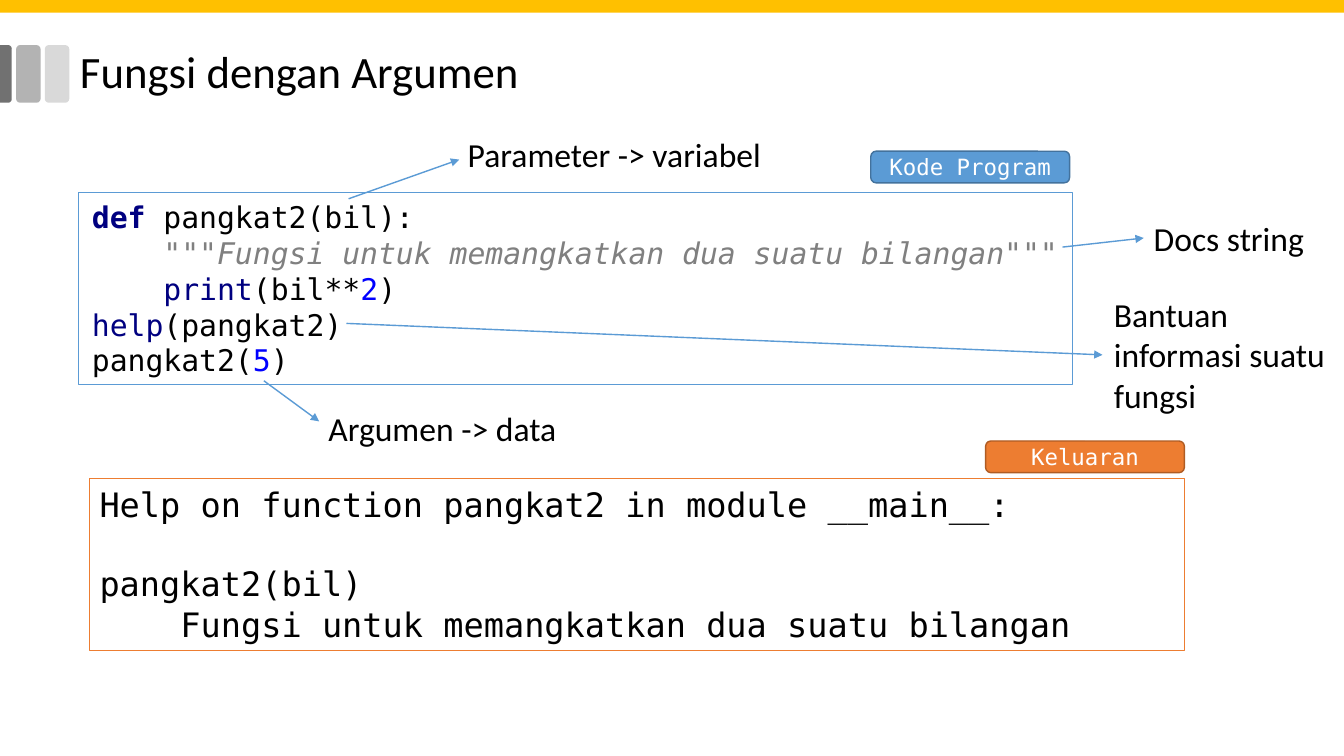
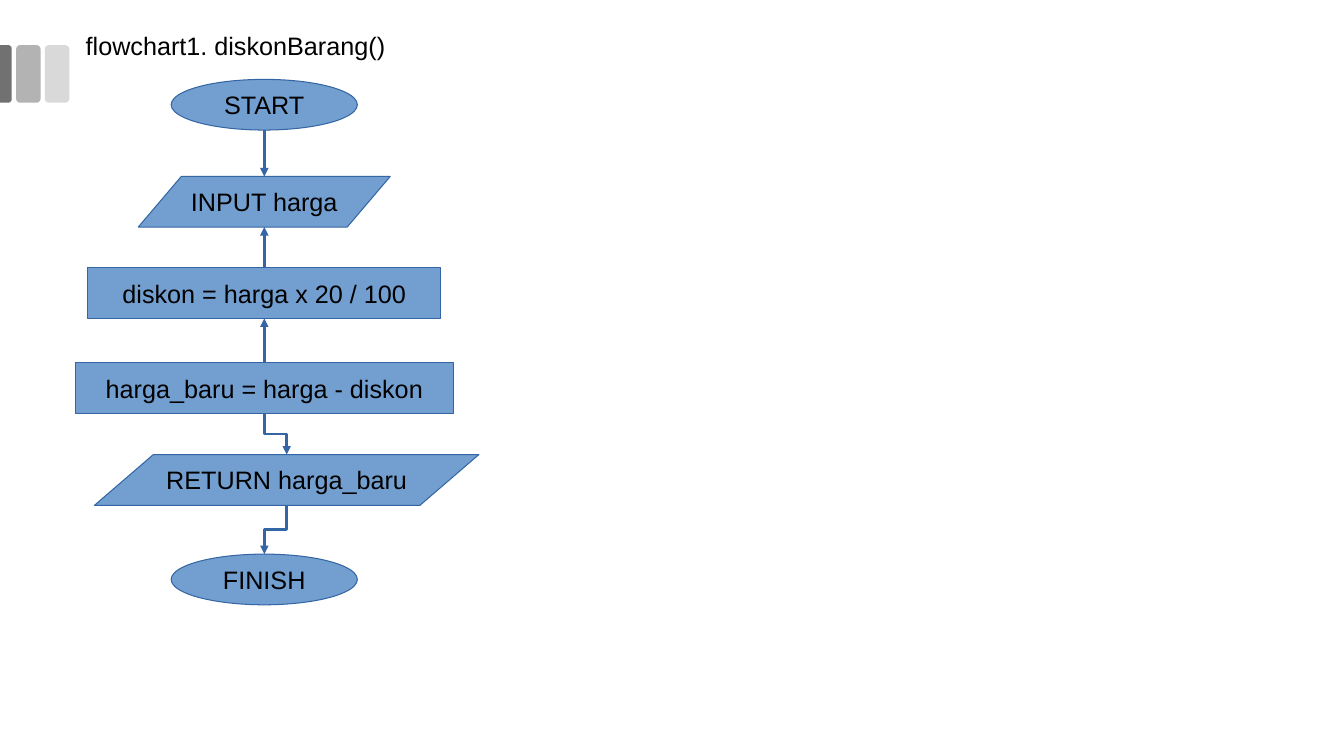
from pptx import Presentation
from pptx.dml.color import RGBColor
from pptx.enum.shapes import MSO_CONNECTOR, MSO_SHAPE
from pptx.enum.text import MSO_ANCHOR, MSO_AUTO_SIZE, PP_ALIGN
from pptx.oxml.ns import qn
from pptx.util import Pt
from lxml import etree

COLORS = {
    "black": "000000", "white": "FFFFFF", "gold": "FFC000",
    "dark": "717171", "mid": "B3B3B3", "light": "D9D9D9",
    "blue": "5B9BD5", "blue_edge": "43729D",
    "orange": "ED7D31", "orange_edge": "AF5C24",
    "node": "729FCF", "node_edge": "3465A4",
    "keyword": "000080", "docstring": "808080", "number": "0000FF",
}
SANS, MONO, FLOW = "Calibri", "DejaVu Sans Mono", "Arial"
NODE_H = 36.2
AXIS = 188.8

CODE = [
    ("def ", "keyword"),
    ("pangkat2(bil):\n    ", "black"),
    ('"""Fungsi untuk memangkatkan dua suatu bilangan"""\n    ', "docstring"),
    ("print", "keyword"),
    ("(bil**", "black"),
    ("2", "number"),
    (")\n", "black"),
    ("help", "keyword"),
    ("(pangkat2)\npangkat2(", "black"),
    ("5", "number"),
    (")", "black"),
]
# text, space before
OUTPUT = [
    ("Help on function pangkat2 in module __main__:", 0),
    ("pangkat2(bil)", 28),
    ("    Fungsi untuk memangkatkan dua suatu bilangan", 0),
]
# text, left, top, width, height, arrow start, arrow end
CALLOUTS = [
    ("Docs string", 817, 152, 123, 36, (759, 176.5), (817, 170)),
    ("Bantuan informasi suatu fungsi", 788.5, 206.5, 167, 94,
     (247.5, 231), (787.5, 253.5)),
    ("Parameter -> variabel", 327, 92, 229, 36, (249, 142), (328, 114)),
    ("Argumen -> data", 227.5, 288, 188, 36, (188.5, 272), (228, 301)),
]
# text, preset, centre x, top, width, slant
NODES = [
    ("START", MSO_SHAPE.OVAL, AXIS, 56.7, 133, None),
    ("INPUT harga", MSO_SHAPE.PARALLELOGRAM, AXIS, 126, 180, 0.85),
    ("diskon = harga x 20 / 100", MSO_SHAPE.RECTANGLE, AXIS, 191.3, 252, None),
    ("harga_baru = harga - diskon", MSO_SHAPE.RECTANGLE, AXIS, 259.2, 270, None),
    ("RETURN harga_baru", MSO_SHAPE.PARALLELOGRAM, 204.8, 324.7, 274.5, 1.16),
    ("FINISH", MSO_SHAPE.OVAL, AXIS, 395.8, 133, None),
]
FLOWS = [(0, 1), (2, 1), (3, 2), (3, 4), (4, 5)]


def rgb(name):
    return RGBColor.from_string(COLORS[name])


def add_run(p, text, size, font, color="black", bold=False, italic=False):
    """Add text to p, with a line break at each newline."""
    for i, piece in enumerate(text.split("\n")):
        if i:
            p.add_line_break()
        if piece:
            r = p.add_run()
            r.text = piece
            r.font.size, r.font.name = Pt(size), font
            r.font.bold, r.font.italic = bold, italic
            r.font.color.rgb = rgb(color)


def set_frame(sp, anchor=MSO_ANCHOR.TOP, pad_x=7.2, pad_y=3.6):
    tf = sp.text_frame
    tf.word_wrap = True
    tf.auto_size = MSO_AUTO_SIZE.NONE
    tf.vertical_anchor = anchor
    tf.margin_left = tf.margin_right = Pt(pad_x)
    tf.margin_top = tf.margin_bottom = Pt(pad_y)
    p = tf.paragraphs[0]
    p.alignment = PP_ALIGN.LEFT
    return tf, p


def add_box(slide, preset, left, top, width, height, fill=None, edge=None,
            edge_width=1):
    sp = slide.shapes.add_shape(preset, Pt(left), Pt(top), Pt(width), Pt(height))
    sp.shadow.inherit = False
    if fill:
        sp.fill.solid()
        sp.fill.fore_color.rgb = rgb(fill)
    else:
        sp.fill.background()
    if edge:
        sp.line.color.rgb = rgb(edge)
        sp.line.width = Pt(edge_width)
    else:
        sp.line.fill.background()
    return sp


def add_centred_text(sp, text, size, font, color):
    tf, p = set_frame(sp, MSO_ANCHOR.MIDDLE)
    p.alignment = PP_ALIGN.CENTER
    add_run(p, text, size, font, color)


def add_arrow(slide, start, end, color, width, elbow=False):
    """Draw an arrow; an elbow leaves and arrives vertically, going down."""
    (x1, y1), (x2, y2) = start, end
    kind = MSO_CONNECTOR.ELBOW if elbow else MSO_CONNECTOR.STRAIGHT
    if elbow:
        # An elbow runs sideways by itself, so lay it out flat and turn it.
        run, shift = y2 - y1, abs(x2 - x1)
        cx, cy = (x1 + x2) / 2, (y1 + y2) / 2
        x1, x2 = cx - run / 2, cx + run / 2
        y1, y2 = cy - shift / 2, cy + shift / 2
    c = slide.shapes.add_connector(kind, Pt(x1), Pt(y1), Pt(x2), Pt(y2))
    c.line.color.rgb = rgb(color)
    c.line.width = Pt(width)
    spPr = c.element.spPr
    if elbow:
        xfrm = spPr.find(qn("a:xfrm"))
        goes_right = end[0] > start[0]
        xfrm.set("rot", "16200000" if goes_right else "5400000")
        if goes_right:
            xfrm.set("flipH", "1")
    etree.SubElement(spPr.find(qn("a:ln")), qn("a:tailEnd"), type="triangle")
    etree.SubElement(spPr, qn("a:effectLst"))


def set_title(slide, text, box, size, font, pad_x, pad_y, spacing):
    sp = slide.shapes.title
    sp.left, sp.top, sp.width, sp.height = (Pt(v) for v in box)
    tf, p = set_frame(sp, MSO_ANCHOR.TOP, pad_x, pad_y)
    p.line_spacing = spacing
    add_run(p, text, size, font)


def add_master_bars(prs, slide):
    """Draw the three grey bars on slide, then move them to the master."""
    bars = [add_box(slide, MSO_SHAPE.ROUNDED_RECTANGLE, left, 32.2, 17.5, 41.2, fill)
            for left, fill in ((32, "light"), (11.5, "mid"))]
    edge_bar = add_box(slide, MSO_SHAPE.ROUND_2_SAME_RECTANGLE,
                       -16.6, 48.4, 41.2, 8.8, "dark")
    edge_bar.adjustments[0] = 0.29
    edge_bar.rotation = 90
    tree = prs.slide_master.shapes.element
    for i, sp in enumerate(bars + [edge_bar]):
        sp.element.nvSpPr.cNvPr.set("id", str(101 + i))
        tree.append(sp.element)


def add_code_box(slide):
    sp = add_box(slide, MSO_SHAPE.RECTANGLE, 56, 137.4, 710, 137.2, "white", "blue")
    tf, p = set_frame(sp, MSO_ANCHOR.MIDDLE, 9.6, 4.8)
    for text, color in CODE:
        add_run(p, text, 21.3, MONO, color,
                bold=text == "def ", italic=color == "docstring")


def add_output_box(slide):
    sp = add_box(slide, MSO_SHAPE.RECTANGLE, 64, 342, 782, 122.5, edge="orange")
    tf, p = set_frame(sp)
    for i, (text, before) in enumerate(OUTPUT):
        if i:
            p = tf.add_paragraph()
            p.alignment = PP_ALIGN.LEFT
        p.space_before = Pt(before)
        add_run(p, text, 24, MONO)


def add_tag(slide, text, left, top, color):
    sp = add_box(slide, MSO_SHAPE.ROUNDED_RECTANGLE, left, top, 142, 22.6,
                 color, color + "_edge")
    add_centred_text(sp, text, 16, MONO, "white")


def add_callout(slide, text, left, top, width, height, start, end):
    sp = slide.shapes.add_textbox(Pt(left), Pt(top), Pt(width), Pt(height))
    tf, p = set_frame(sp)
    add_run(p, text, 24, SANS)
    add_arrow(slide, start, end, "blue", 1)


def add_node(slide, text, preset, cx, top, width, slant):
    sp = add_box(slide, preset, cx - width / 2, top, width, NODE_H,
                 "node", "node_edge", 0)
    if slant:
        sp.adjustments[0] = slant
    add_centred_text(sp, text, 18, FLOW, "black")


def add_flow(slide, source, target):
    (x1, top1), (x2, top2) = NODES[source][2:4], NODES[target][2:4]
    if top1 < top2:
        top1 += NODE_H
    else:
        top2 += NODE_H
    add_arrow(slide, (x1, top1), (x2, top2), "node_edge", 0, elbow=x1 != x2)


def build_function_slide(slide):
    set_title(slide, "Fungsi dengan Argumen", (47.5, 26, 828, 104),
              32, SANS, 9.6, 9.6, 0.9)
    add_box(slide, MSO_SHAPE.RECTANGLE, 0, -2.4, 960, 11.4, "gold")
    add_code_box(slide)
    add_output_box(slide)
    add_tag(slide, "Kode Program", 622, 108, "blue")
    add_tag(slide, "Keluaran", 704, 315, "orange")
    for callout in CALLOUTS:
        add_callout(slide, *callout)


def build_flowchart_slide(slide):
    set_title(slide, "flowchart1. diskonBarang()", (54, 18.2, 240, 28),
              18, FLOW, 7.2, 3.6, 1.0)
    for node in NODES:
        add_node(slide, *node)
    for source, target in FLOWS:
        add_flow(slide, source, target)


def main():
    prs = Presentation()
    prs.slide_width, prs.slide_height = Pt(960), Pt(540)
    title_only = prs.slide_layouts[5]
    slides = [prs.slides.add_slide(title_only) for _ in range(2)]
    add_master_bars(prs, slides[0])
    build_function_slide(slides[0])
    build_flowchart_slide(slides[1])
    prs.save("out.pptx")


if __name__ == "__main__":
    main()
